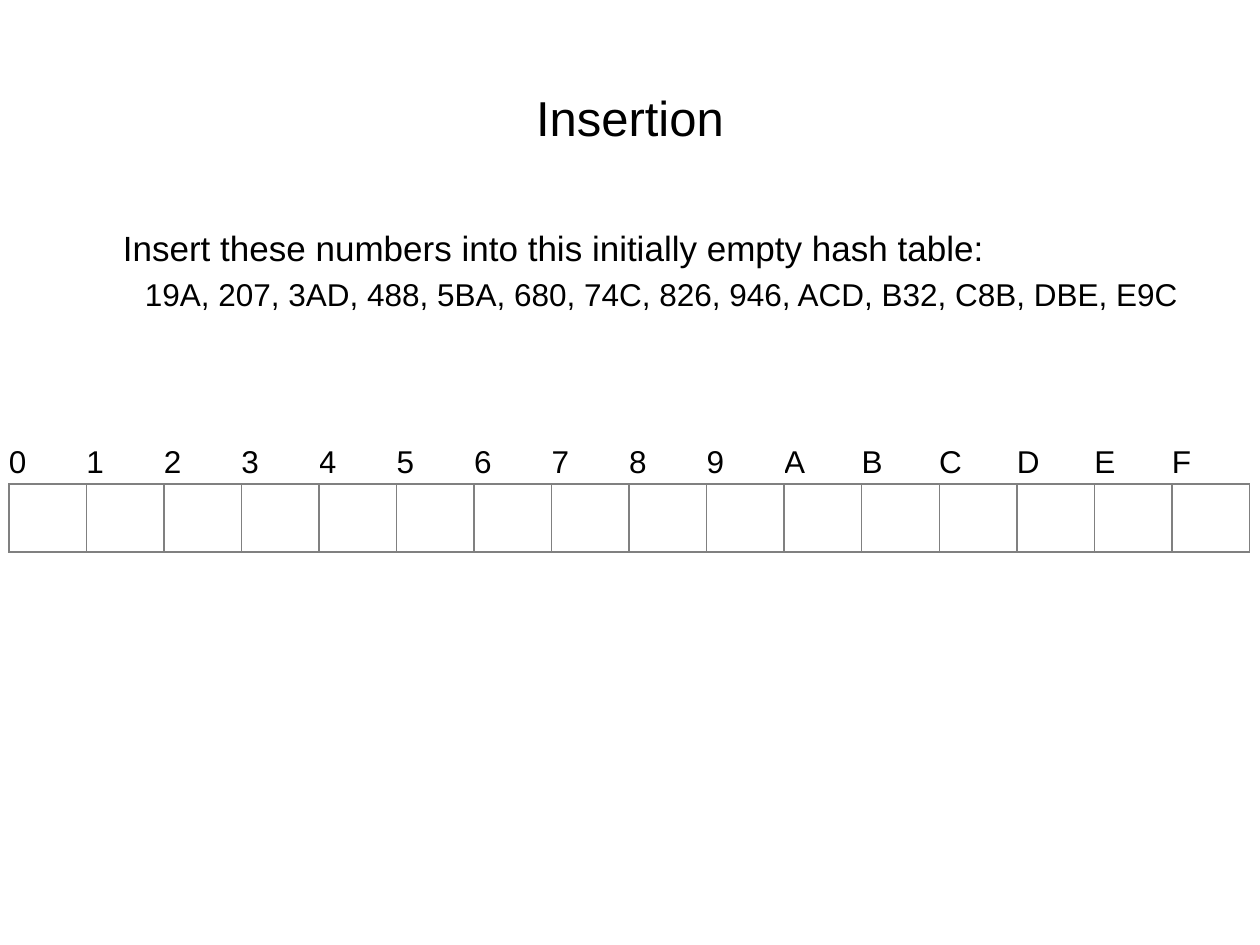
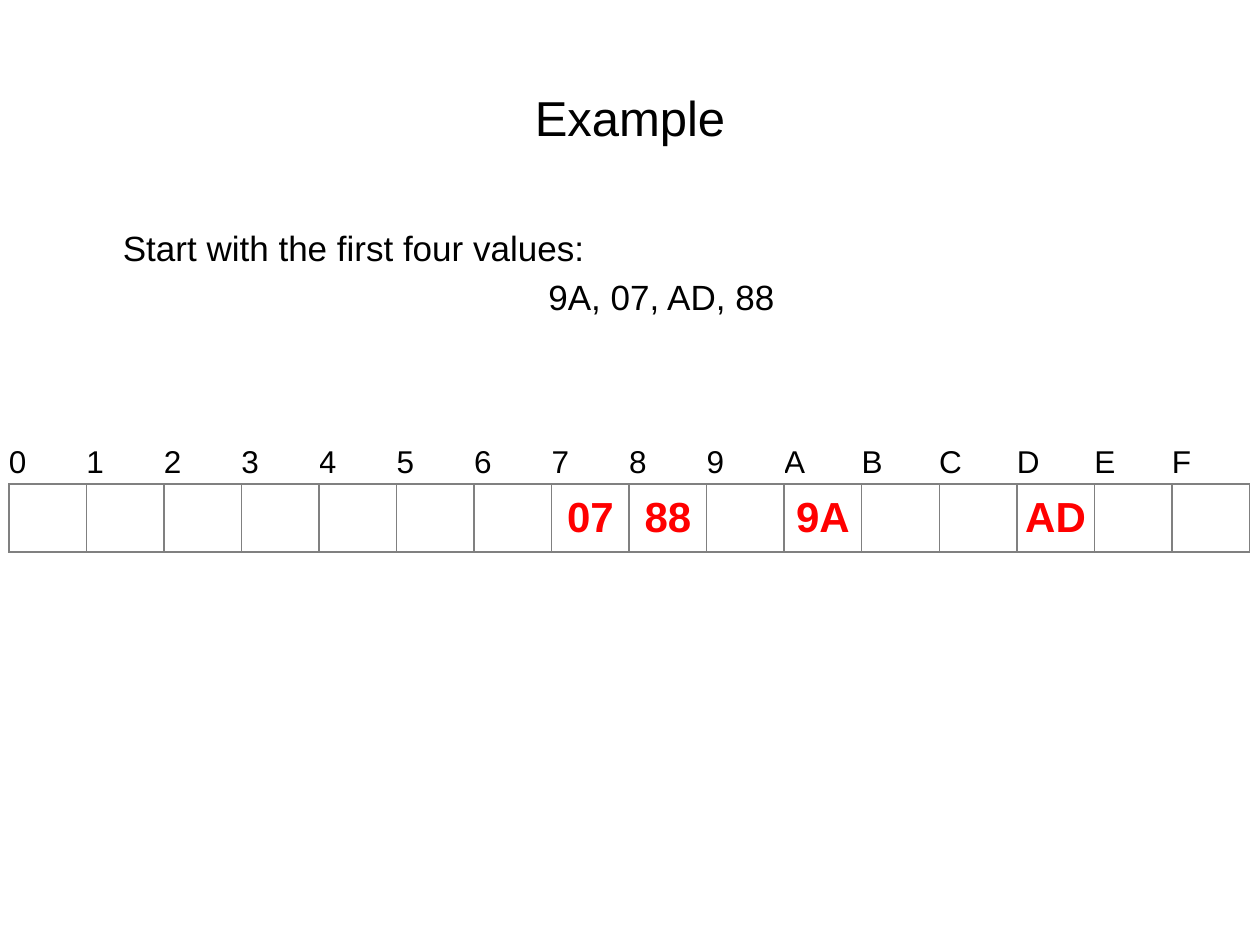
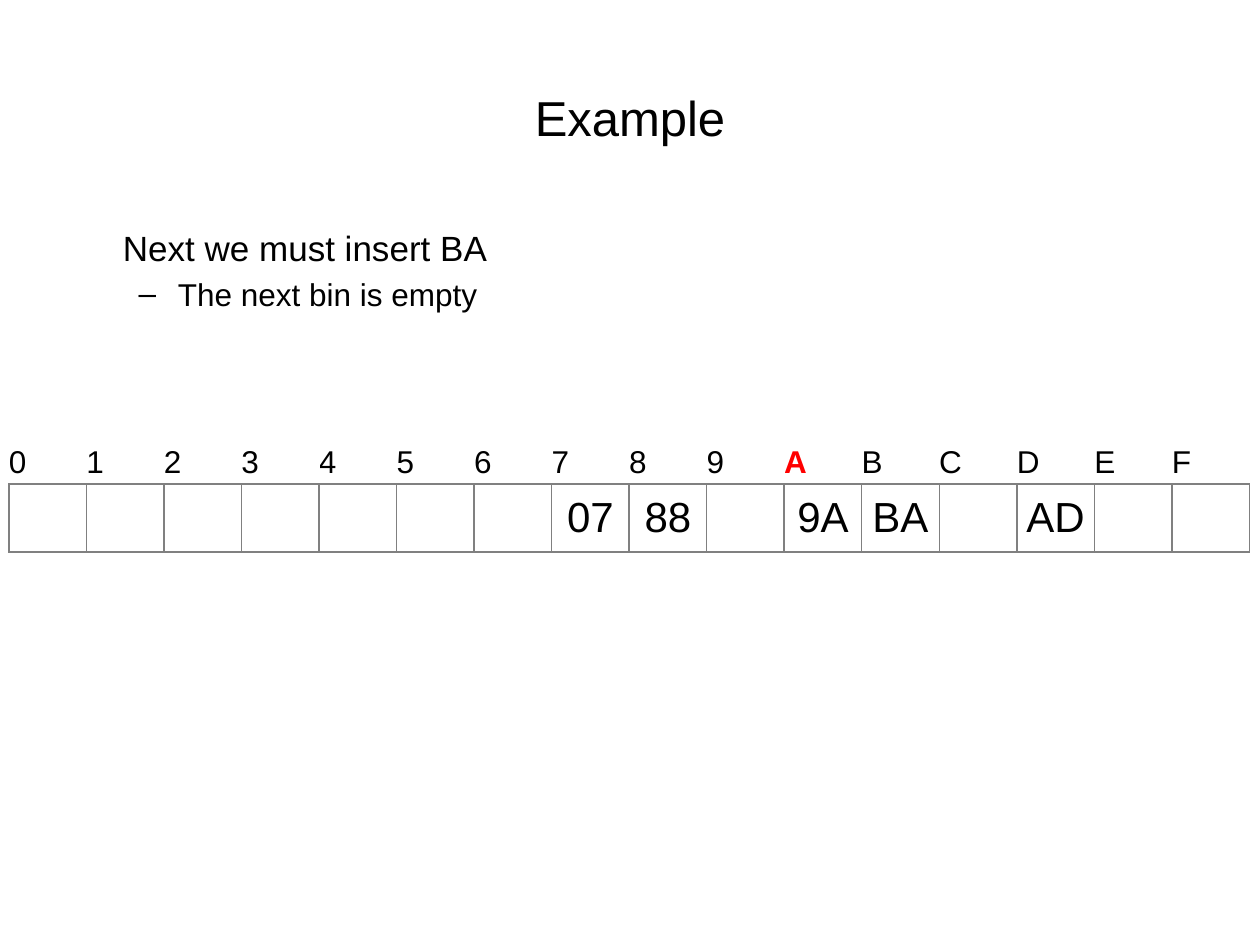
"""Build three slides on inserting values into a hash table."""
from lxml.etree import SubElement
from pptx import Presentation
from pptx.dml.color import RGBColor
from pptx.enum.text import MSO_ANCHOR, PP_ALIGN
from pptx.oxml import parse_xml
from pptx.oxml.ns import nsdecls, qn
from pptx.util import Inches, Pt

HUE = {"ink": "000000", "mark": "FF0000", "rule": "808080"}
BINS = "0123456789ABCDEF"
SLIDES = [
    dict(title="Insertion", lead="Insert these numbers into this initially empty hash table:",
         note="19A, 207, 3AD, 488, 5BA, 680, 74C, 826, 946, ACD, B32, C8B, DBE, E9C",
         size=18, dash=False, keys={}, tone="ink", hit=""),
    dict(title="Example", lead="Start with the first four values:",
         note="9A, 07, AD, 88", size=20, dash=False,
         keys={"7": "07", "8": "88", "A": "9A", "D": "AD"}, tone="mark", hit=""),
    dict(title="Example", lead="Next we must insert BA",
         note="The next bin is empty", size=18, dash=True,
         keys={"7": "07", "8": "88", "A": "9A", "B": "BA", "D": "AD"}, tone="ink", hit="A"),
]


def style(para, text, size, tone="ink"):
    para.text = text
    para.font.name = "Arial"
    para.font.size = Pt(size)
    para.font.bold = tone == "mark"
    para.font.color.rgb = RGBColor.from_string(HUE[tone])


def edge(cell, sides):
    props = cell._tc.get_or_add_tcPr()
    for spot, side in enumerate(sides):
        props.insert(spot, parse_xml(
            f'<a:ln{side} {nsdecls("a")} w="{Pt(1)}"><a:solidFill>'
            f'<a:srgbClr val="{HUE["rule"]}"/></a:solidFill></a:ln{side}>'))


deck = Presentation()
deck.slide_width, deck.slide_height = Inches(10), Inches(7.5)
wide, high = deck.slide_width, deck.slide_height
side = int(wide * 0.05)
span = wide - 2 * side

for item in SLIDES:
    slide = deck.slides.add_slide(deck.slide_layouts[1])
    title, body = slide.placeholders
    for box, top, tall in ((title, 0.04, 1 / 6), (body, 7 / 30, 0.66)):
        box.left, box.top = side, int(high * top)
        box.width, box.height = span, int(high * tall)

    head = title.text_frame.paragraphs[0]
    style(head, item["title"], 28)
    head.alignment = PP_ALIGN.CENTER

    lead = body.text_frame.paragraphs[0]
    style(lead, item["lead"], 20)
    props = lead._p.get_or_add_pPr()
    props.set("indent", "0")
    props.insert(0, props.makeelement(qn("a:buNone")))

    note = body.text_frame.add_paragraph()
    style(note, item["note"], item["size"])
    note.level = 1
    props = note._p.get_or_add_pPr()
    if item["dash"]:
        bullet = props.makeelement(qn("a:buChar"), char="–")
    else:
        note.alignment = PP_ALIGN.CENTER
        bullet = props.makeelement(qn("a:buNone"))
    props.insert(0, bullet)

    table = slide.shapes.add_table(2, len(BINS), Inches(0.07), Inches(3.51),
                                   Inches(9.85), Inches(0.87)).table
    table.first_row = table.horz_banding = False
    table.rows[0].height, table.rows[1].height = Inches(0.33), Inches(0.54)
    for col, name in enumerate(BINS):
        label, slot = table.cell(0, col), table.cell(1, col)
        for cell in (label, slot):
            cell.fill.background()
            cell.vertical_anchor = MSO_ANCHOR.MIDDLE
            cell.margin_left = cell.margin_right = 0
            cell.margin_top = cell.margin_bottom = 0
        edge(label, "B")
        edge(slot, "LRTB")
        style(label.text_frame.paragraphs[0], name, 18,
              "mark" if name == item["hit"] else "ink")
        if name in item["keys"]:
            para = slot.text_frame.paragraphs[0]
            style(para, item["keys"][name], 24, item["tone"])
            para.alignment = PP_ALIGN.CENTER

deck.save("out.pptx")
